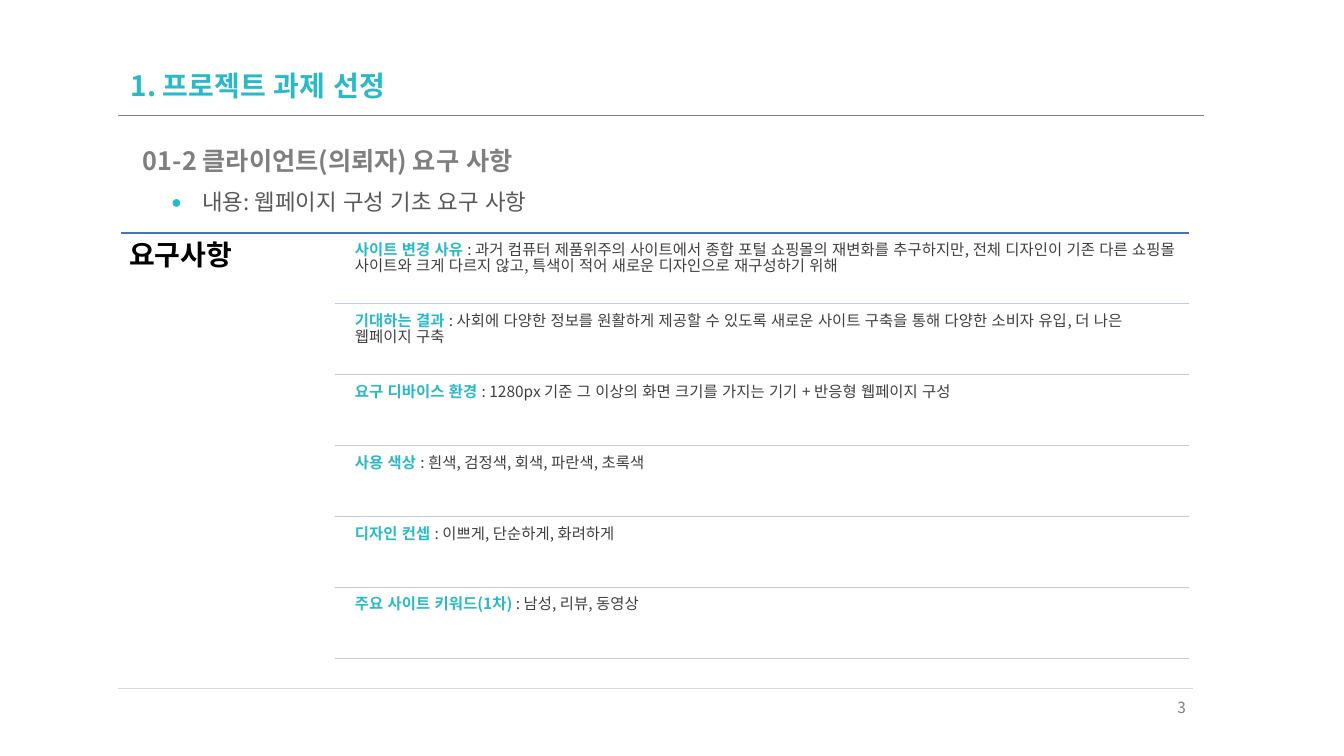
from dataclasses import dataclass

from pptx import Presentation
from pptx import util as u
from pptx.dml.color import RGBColor
from pptx.enum import shapes, text
from pptx.oxml.ns import qn

FONT, BULLET_FONT = "Noto Sans CJK KR", "Arial"
TEAL, GRAY, DARK = "2AB9C7", "7F7F7F", "404040"


@dataclass
class Run:
    text: str
    size: float
    color: str
    bold: bool = False


@dataclass
class Box:
    left: float
    top: float
    width: float
    height: float
    runs: list[Run]
    inset: tuple[float, float] = (0.1, 0.05)
    spacing: float = 0.9
    anchor: text.MSO_ANCHOR = text.MSO_ANCHOR.TOP
    align: text.PP_ALIGN = text.PP_ALIGN.LEFT
    bullet: str = ""


@dataclass
class Rule:
    left: float
    right: float
    y: float
    color: str
    width: float


@dataclass
class Requirement:
    label: str
    detail: str


def rgb(color: str) -> RGBColor:
    return RGBColor.from_string(color)


def add_bullet(p, char: str) -> None:
    """Hanging teal bullet at 80 % of the text size."""
    pPr = p._p.get_or_add_pPr()
    indent = u.Inches(0.31)
    pPr.set("marL", str(indent))
    pPr.set("indent", str(-indent))
    color = pPr.makeelement(qn("a:buClr"), {})
    color.append(color.makeelement(qn("a:srgbClr"), {"val": TEAL}))
    pPr.append(color)
    for tag, attrs in (("a:buSzPct", {"val": "80000"}),
                       ("a:buFont", {"typeface": BULLET_FONT}),
                       ("a:buChar", {"char": char})):
        pPr.append(pPr.makeelement(qn(tag), attrs))


def add_run(p, run: Run) -> None:
    r = p.add_run()
    r.text = run.text
    formats = {"name": FONT, "size": u.Pt(run.size), "bold": run.bold}
    for name, value in formats.items():
        setattr(r.font, name, value)
    r.font.color.rgb = rgb(run.color)
    rPr = r._r.get_or_add_rPr()
    rPr.set("lang", "ko-KR")
    rPr.append(rPr.makeelement(qn("a:ea"), {"typeface": FONT}))


def add_box(s, box: Box) -> None:
    sp = s.shapes.add_textbox(*map(u.Inches, (box.left, box.top, box.width, box.height)))
    tf = sp.text_frame
    side, end = map(u.Inches, box.inset)
    formats = {"word_wrap": True, "vertical_anchor": box.anchor,
               "margin_left": side, "margin_right": side,
               "margin_top": end, "margin_bottom": end}
    for name, value in formats.items():
        setattr(tf, name, value)
    p = tf.paragraphs[0]
    p.alignment = box.align
    p.line_spacing = box.spacing
    if box.bullet:
        add_bullet(p, box.bullet)
    for run in box.runs:
        add_run(p, run)


def add_rule(s, rule: Rule) -> None:
    y = u.Inches(rule.y)
    sp = s.shapes.add_connector(shapes.MSO_CONNECTOR.STRAIGHT,
                                u.Inches(rule.left), y, u.Inches(rule.right), y)
    sp.line.color.rgb = rgb(rule.color)
    sp.line.width = u.Pt(rule.width)
    spPr = sp._element.spPr
    spPr.append(spPr.makeelement(qn("a:effectLst"), {}))


REQUIREMENTS = [
    Requirement("사이트 변경 사유 ",
                ": 과거 컴퓨터 제품위주의 사이트에서 종합 포털 쇼핑몰의 재변화를 추구하지만, "
                "전체 디자인이 기존 다른 쇼핑몰 사이트와 크게 다르지 않고, "
                "특색이 적어 새로운 디자인으로 재구성하기 위해"),
    Requirement("기대하는 결과 ",
                ": 사회에 다양한 정보를 원활하게 제공할 수 있도록 새로운 사이트 구축을 통해 "
                "다양한 소비자 유입, 더 나은 웹페이지 구축"),
    Requirement("요구 디바이스 환경 ",
                ": 1280px 기준 그 이상의 화면 크기를 가지는 기기 + 반응형 웹페이지 구성"),
    Requirement("사용 색상 ", ": 흰색, 검정색, 회색, 파란색, 초록색"),
    Requirement("디자인 컨셉 ", ": 이쁘게, 단순하게, 화려하게"),
    Requirement("주요 사이트 키워드(1차) ", ": 남성, 리뷰, 동영상"),
]
ROWS_TOP, ROWS_BOTTOM, ROW_HEIGHT = 2.35, 6.53, 0.66
ROW_PITCH = (ROWS_BOTTOM - ROW_HEIGHT - ROWS_TOP) / (len(REQUIREMENTS) - 1)

RULES = [
    Rule(1.17, 11.94, 1.14, "808080", 0.5),
    Rule(1.17, 11.83, 6.83, "D9D9D9", 0.5),
    Rule(1.2, 11.79, 2.31, "4472C4", 1),
]

BOXES = [
    Box(1.2, 0.62, 10.78, 0.49, [Run("1. 프로젝트 과제 선정", 20, TEAL, True)],
        anchor=text.MSO_ANCHOR.MIDDLE),
    Box(1.32, 1.43, 10.66, 0.34,
        [Run("01-2 클라이언트(의뢰자) 요구 사항", 18, GRAY, True)]),
    Box(1.6, 1.85, 10.38, 0.34,
        [Run("내용: 웹페이지 구성 기초 요구 사항", 16, "595959")], bullet="●"),
    Box(1.2, 2.31, 2.12, 4.28, [Run("요구사항", 20, "000000", True)],
        inset=(0.08, 0.08)),
    Box(11.27, 6.88, 0.59, 0.4, [Run("3", 11, "808080")],
        spacing=1.0, align=text.PP_ALIGN.RIGHT),
]


def main() -> None:
    prs = Presentation()
    prs.slide_width, prs.slide_height = u.Inches(13.33), u.Inches(7.5)
    s = prs.slides.add_slide(prs.slide_layouts[6])

    # Frame rules, headings and page number
    for rule in RULES:
        add_rule(s, rule)
    for box in BOXES:
        add_box(s, box)

    # Requirement rows, each closed by a rule
    for i, item in enumerate(REQUIREMENTS):
        top = ROWS_TOP + i * ROW_PITCH
        runs = [Run(item.label, 11, TEAL, True), Run(item.detail, 11, DARK)]
        add_box(s, Box(3.47, top, 8.31, ROW_HEIGHT, runs, inset=(0.05, 0.05)))
        add_rule(s, Rule(3.32, 11.79, top + ROW_HEIGHT, "C1C9E4", 1))

    prs.save("out.pptx")


if __name__ == "__main__":
    main()
